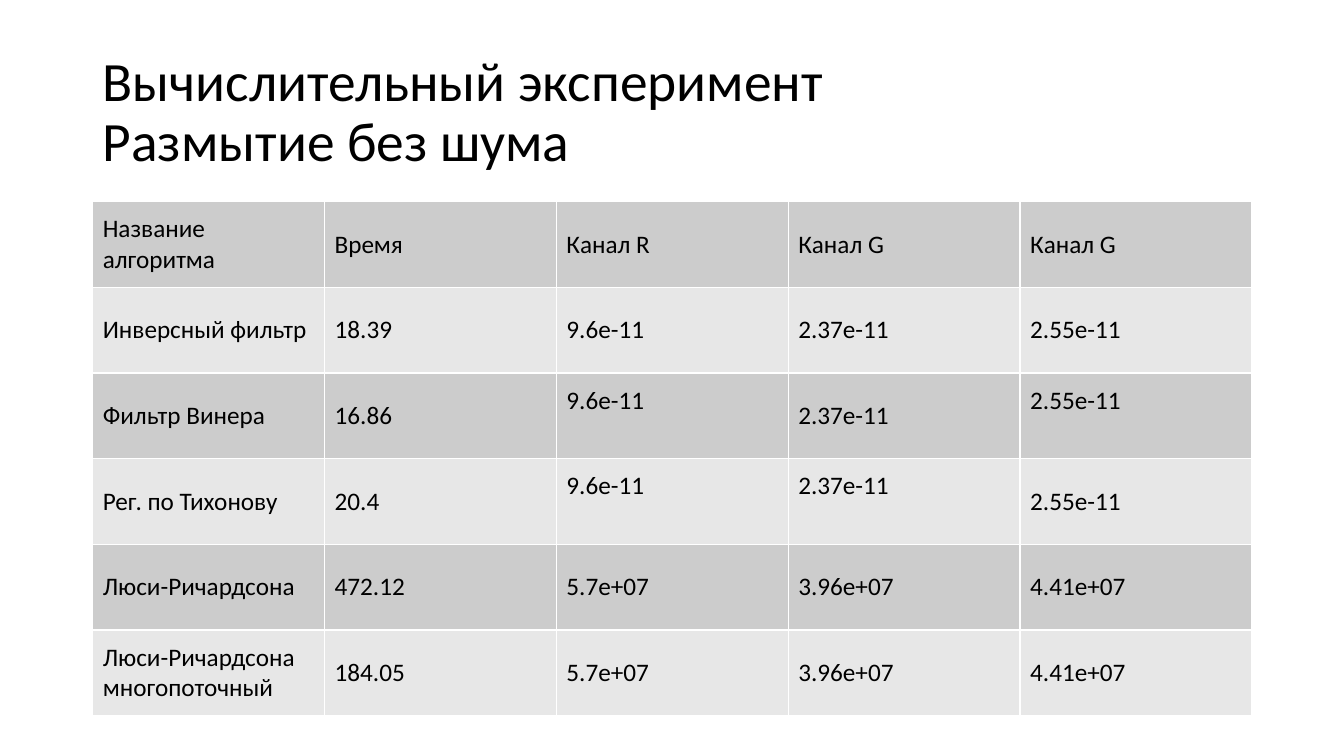
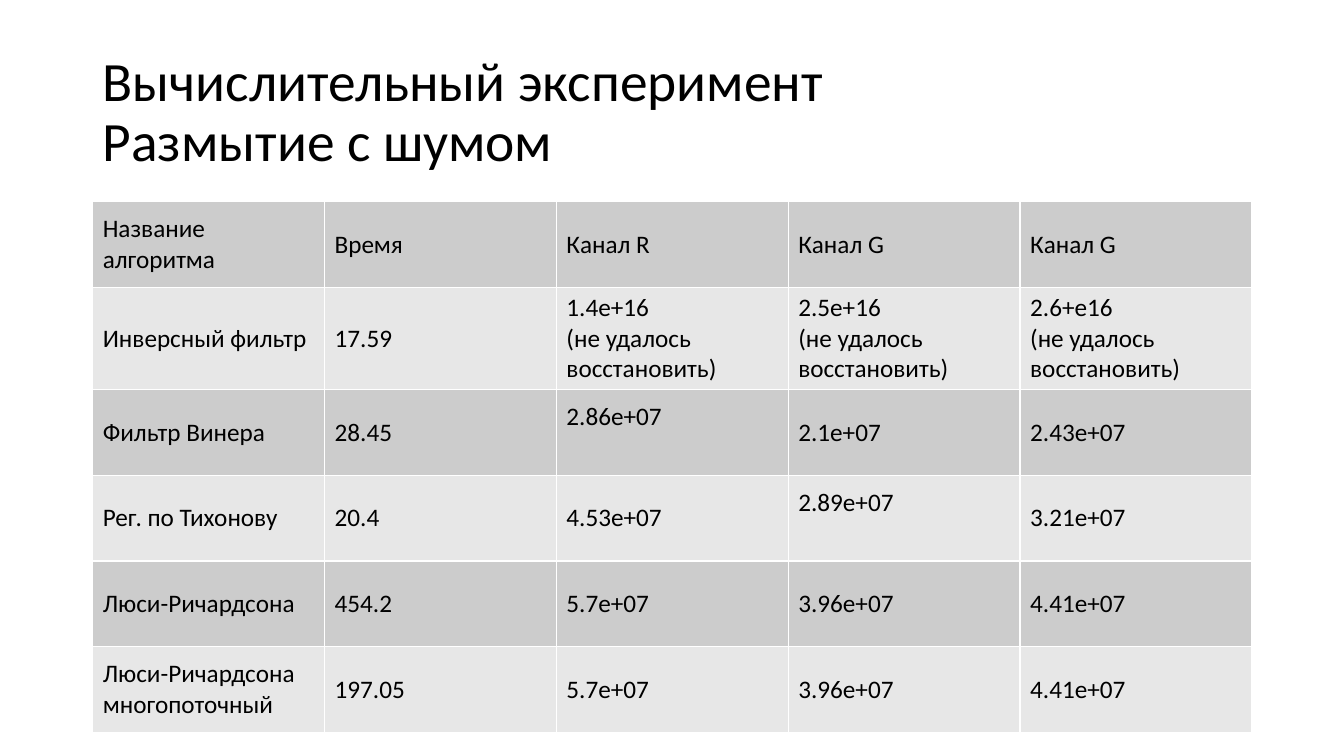
"""Builds two slides comparing image restoration algorithms."""
import pptx
import pptx.dml.color
import pptx.enum.text
import pptx.oxml
import pptx.oxml.ns
import pptx.util

Pt = pptx.util.Pt
RGBColor = pptx.dml.color.RGBColor
MIDDLE = pptx.enum.text.MSO_ANCHOR.MIDDLE

FONT = "Calibri"
BLACK = RGBColor(0x00, 0x00, 0x00)
WHITE = RGBColor(0xFF, 0xFF, 0xFF)
BANDS = (RGBColor(0xCC, 0xCC, 0xCC), RGBColor(0xE7, 0xE7, 0xE7))

SLIDE_W, SLIDE_H = 960, 540
MARGIN = 66.24
CONTENT_W = 828
TITLE_TOP, TITLE_H = 28.8, 104.4
TABLE_TOP, ROW_H = 144, 61.2
RAISED_BOTTOM = 25.6

HEADING = "Вычислительный эксперимент"
HEADER = ("Название алгоритма", "Время", "Канал R", "Канал G", "Канал G")
ALGORITHMS = (
    "Инверсный фильтр",
    "Фильтр Винера",
    "Рег. по Тихонову",
    "Люси-Ричардсона",
    "Люси-Ричардсона\nмногопоточный",
)
FAILED = "\n(не удалось восстановить)"
LUCY = ("5.7e+07", "3.96e+07", "4.41e+07")
CLEAN = ("9.6e-11", "2.37e-11", "2.55e-11")

SLIDES = [
    {
        "subtitle": "Размытие без шума",
        "times": ("18.39", "16.86", "20.4", "472.12", "184.05"),
        "channels": (CLEAN, CLEAN, CLEAN, LUCY, LUCY),
        "raised": {(2, 2), (2, 4), (3, 2), (3, 3)},
    },
    {
        "subtitle": "Размытие с шумом",
        "times": ("17.59", "28.45", "20.4", "454.2", "197.05"),
        "channels": (
            tuple(value + FAILED for value in ("1.4e+16", "2.5e+16", "2.6+e16")),
            ("2.86e+07", "2.1e+07", "2.43e+07"),
            ("4.53e+07", "2.89e+07", "3.21e+07"),
            LUCY,
            LUCY,
        ),
        "raised": {(2, 2), (3, 3)},
    },
]


def add_run(p, text, size):
    r = p.add_run()
    r.text = text
    r.font.name = FONT
    r.font.size = Pt(size)
    r.font.bold = False
    r.font.color.rgb = BLACK


def set_title(s, subtitle):
    sp = s.shapes.title
    sp.left, sp.top = Pt(MARGIN), Pt(TITLE_TOP)
    sp.width, sp.height = Pt(CONTENT_W), Pt(TITLE_H)
    tf = sp.text_frame
    tf.word_wrap = True
    tf.auto_size = pptx.enum.text.MSO_AUTO_SIZE.NONE
    tf.vertical_anchor = MIDDLE
    p = tf.paragraphs[0]
    p.alignment = pptx.enum.text.PP_ALIGN.LEFT
    p.line_spacing = 0.9
    add_run(p, HEADING, 39.6)
    p.add_line_break()
    add_run(p, subtitle, 39.6)


def set_borders(cell):
    tc_pr = cell._tc.get_or_add_tcPr()
    for side in ("lnL", "lnR", "lnT", "lnB"):
        tc_pr.append(pptx.oxml.parse_xml(
            f'<a:{side} {pptx.oxml.ns.nsdecls("a")} w="{Pt(1)}">'
            f'<a:solidFill><a:srgbClr val="{WHITE}"/></a:solidFill></a:{side}>'
        ))


def fill_cell(cell, text, band, raised):
    set_borders(cell)
    cell.fill.solid()
    cell.fill.fore_color.rgb = band
    cell.vertical_anchor = MIDDLE
    if raised:
        cell.margin_bottom = Pt(RAISED_BOTTOM)
    tf = cell.text_frame
    for i, line in enumerate(text.split("\n")):
        p = tf.add_paragraph() if i else tf.paragraphs[0]
        add_run(p, line, 18)


def add_results(s, times, channels, raised):
    rows = [HEADER] + [
        (name, time, *values)
        for name, time, values in zip(ALGORITHMS, times, channels)
    ]
    table = s.shapes.add_table(
        len(rows), len(HEADER), Pt(MARGIN), Pt(TABLE_TOP),
        Pt(CONTENT_W), Pt(ROW_H * len(rows)),
    ).table
    for i, row in enumerate(rows):
        for j, text in enumerate(row):
            fill_cell(table.cell(i, j), text, BANDS[i % 2], (i, j) in raised)


def main():
    prs = pptx.Presentation()
    prs.slide_width, prs.slide_height = Pt(SLIDE_W), Pt(SLIDE_H)
    for content in SLIDES:
        s = prs.slides.add_slide(prs.slide_layouts[5])
        set_title(s, content["subtitle"])
        add_results(s, content["times"], content["channels"], content["raised"])
    prs.save("out.pptx")


if __name__ == "__main__":
    main()
